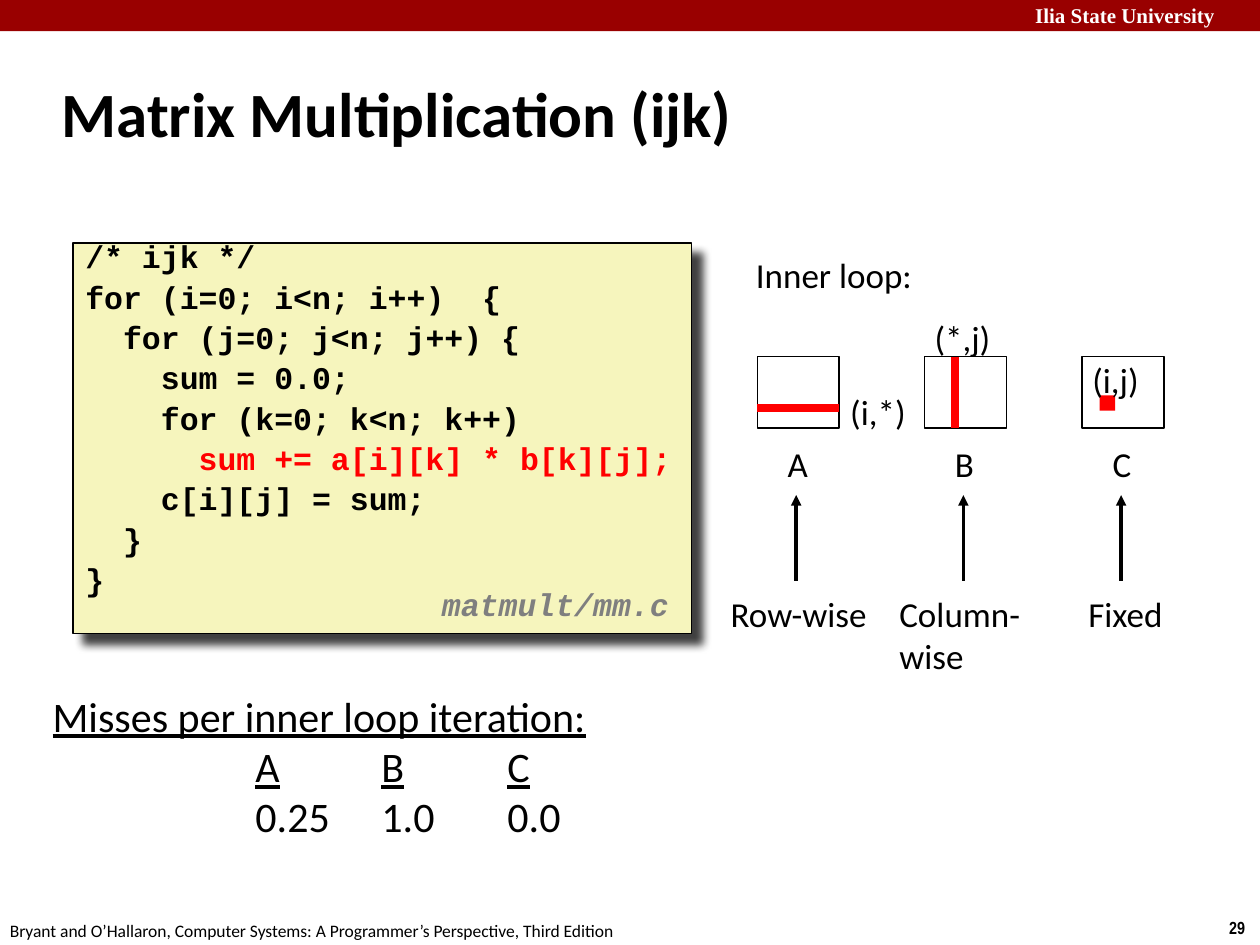
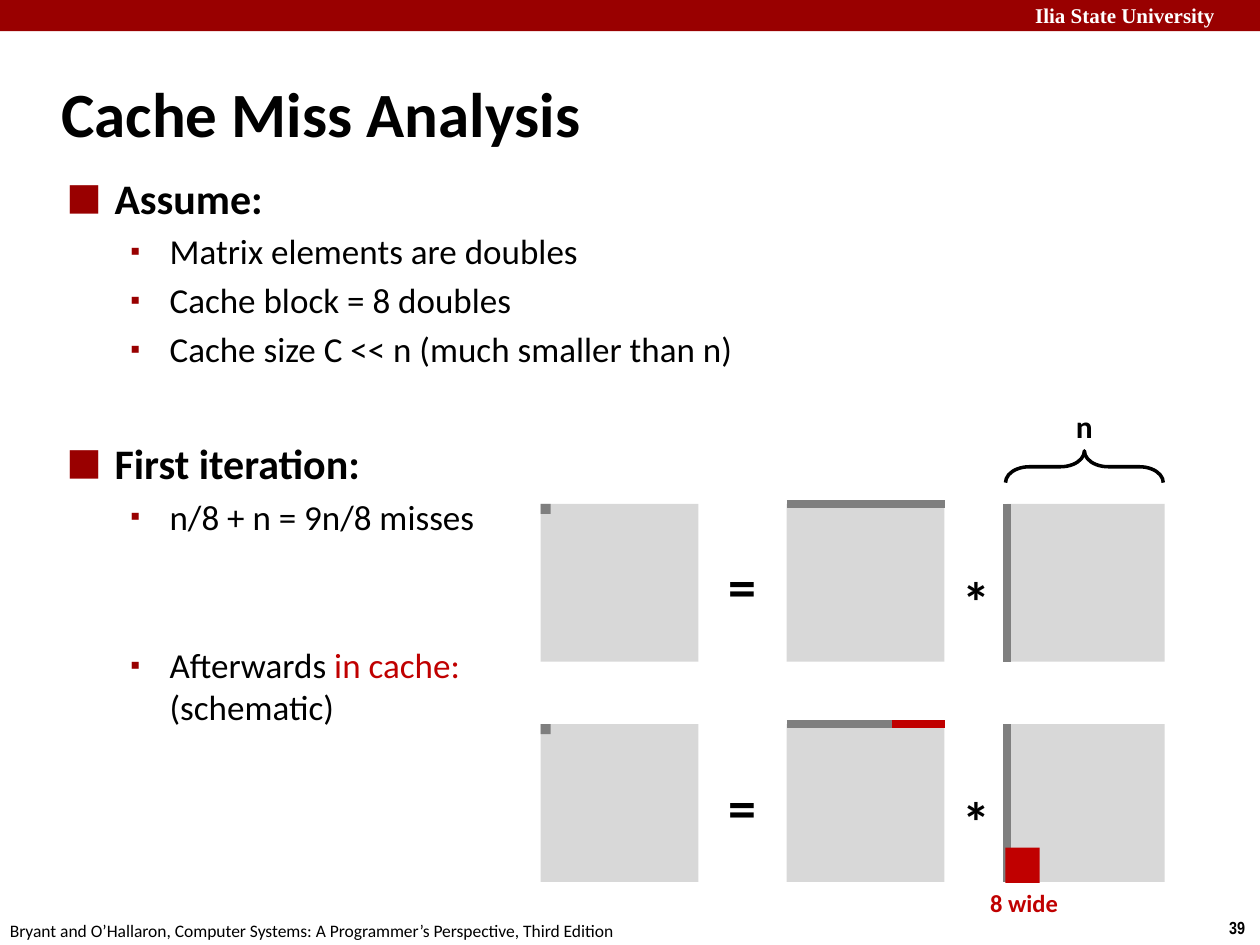
from lxml import etree
from pptx import Presentation
from pptx.dml.color import RGBColor
from pptx.enum.shapes import MSO_CONNECTOR, MSO_SHAPE
from pptx.enum.text import MSO_ANCHOR, PP_ALIGN
from pptx.oxml.ns import qn
from pptx.util import Cm, Pt

RECT, BRACE = MSO_SHAPE.RECTANGLE, MSO_SHAPE.LEFT_BRACE
STRAIGHT = MSO_CONNECTOR.STRAIGHT
TOP, MIDDLE = MSO_ANCHOR.TOP, MSO_ANCHOR.MIDDLE
LEFT = PP_ALIGN.LEFT

# Colours
BLACK, WHITE, BAND, RED = "000000", "FFFFFF", "990000", "FF0000"
CACHED, GREY, PALE, CODE_FILL = "C00000", "7F7F7F", "D8D8D8", "F6F5BD"

# Font styles
BASE = {"name": "Calibri", "size": 20, "color": BLACK}
TITLE = BASE | {"size": 36, "bold": True}
HEADING = BASE | {"size": 24, "bold": True}
MISSES = BASE | {"size": 24}
UNDERLINED = {"underline": True}
CODE = {"name": "Courier New", "size": 18, "color": BLACK, "bold": True}
FILE_NAME = CODE | {"color": GREY, "italic": True}
OPERATOR = BASE | {"size": 32, "bold": True}
SIZE_N = BASE | {"size": 18, "bold": True}
SIZE_WIDE = BASE | {"size": 14, "bold": True, "color": CACHED}
UNIVERSITY = {"name": "Times New Roman", "size": 12, "color": WHITE, "bold": True}
CITATION = BASE | {"size": 10}
NUMBER = {"name": "Arial Narrow", "size": 10, "color": BLACK, "bold": True}

# Content: a paragraph is a list of (text, style changes) runs
CODE_LINES = [
    [("/* ijk */", {})],
    [("for (i=0; i<n; i++)  {", {})],
    [("  for (j=0; j<n; j++) {", {})],
    [("    sum = 0.0;", {})],
    [("    for (k=0; k<n; k++)", {})],
    [("      ", {}), ("sum += a[i][k] * b[k][j];", {"color": RED})],
    [("    c[i][j] = sum;", {})],
    [("  }", {})],
    [("}", {})],
]
# name, left of matrix, access pattern, left and width of pattern
MATRICES = [
    ("A", 15.27, ["Row-wise"], 14.48, 3.4),
    ("B", 18.64, ["Column-", "wise"], 17.88, 3.1),
    ("C", 21.82, ["Fixed"], 21.69, 2.2),
]
INDEX_LABELS = [
    ("Inner loop:", 14.99, 4.98, 3.8),
    ("(i,*)", 16.89, 7.75, 1.8),
    ("(*,j)", 18.59, 6.26, 1.8),
    ("(i,j)", 21.77, 7.11, 1.8),
]
MISS_RATES = [("A", "0.25"), ("B", "1.0"), ("C", "0.0")]
# level, space before, runs
OUTLINE = [
    (0, 0, [("Assume:", {})]),
    (1, 4, [("Matrix elements are doubles", {})]),
    (1, 4, [("Cache block = 8 doubles", {})]),
    (1, 4, [("Cache size C << n (much smaller than n)", {})]),
    (0, 38.9, [("First iteration:", {})]),
    (1, 4, [("n/8 + n = 9n/8 misses", {})]),
    (1, 60.8, [("Afterwards ", {}), ("in cache:\n", {"color": CACHED}),
               ("(schematic)", {})]),
]
# style, bullet, bullet size in percent, left margin, hanging indent
LEVELS = [(HEADING, "■", 140, 0.97, 0.97), (BASE, "▪", 80, 2.08, 0.79)]


def rgb(color):
    return RGBColor.from_string(color)


def style_font(font, style):
    for key, value in style.items():
        if key == "color":
            font.color.rgb = rgb(value)
        else:
            setattr(font, key, Pt(value) if key == "size" else value)


def fill_paragraph(paragraph, runs, style, **spacing):
    for key, value in spacing.items():
        setattr(paragraph, key, value)
    for text, changes in runs:
        run = paragraph.add_run()
        run.text = text.rstrip("\n")
        style_font(run.font, style | changes)
        if text.endswith("\n"):
            paragraph.add_line_break()


def add_bullet(paragraph, bullet, percent, left, hanging):
    properties = paragraph._p.get_or_add_pPr()
    properties.set("marL", str(Cm(left)))
    properties.set("indent", str(-Cm(hanging)))
    color = etree.SubElement(properties, qn("a:buClr"))
    etree.SubElement(color, qn("a:srgbClr"), val=BAND)
    etree.SubElement(properties, qn("a:buSzPct"), val=str(percent * 1000))
    etree.SubElement(properties, qn("a:buFont"), typeface="Times New Roman")
    etree.SubElement(properties, qn("a:buChar"), char=bullet)


def paragraphs_for(frame, items):
    """Pair each item with its own paragraph of the frame."""
    for i, item in enumerate(items):
        yield (frame.add_paragraph() if i else frame.paragraphs[0]), item


def text_frame(slide, left, top, width, height):
    frame = slide.shapes.add_textbox(Cm(left), Cm(top), Cm(width), Cm(height)).text_frame
    frame.word_wrap = True
    return frame


def label(slide, lines, left, top, width, height, style=BASE, first=None):
    """Write lines in a text box; first holds style changes of the first line."""
    frame = text_frame(slide, left, top, width, height)
    for i, (paragraph, text) in enumerate(paragraphs_for(frame, lines)):
        changes = first if first and i == 0 else {}
        fill_paragraph(paragraph, [(text, changes)], style)
    return frame


def shape(slide, kind, left, top, width, height, fill=None, line=None, weight=1):
    part = slide.shapes.add_shape(kind, Cm(left), Cm(top), Cm(width), Cm(height))
    part.shadow.inherit = False
    if fill:
        part.fill.solid()
        part.fill.fore_color.rgb = rgb(fill)
    else:
        part.fill.background()
    if line:
        part.line.color.rgb = rgb(line)
        part.line.width = Pt(weight)
    else:
        part.line.fill.background()
    return part


def line(slide, x1, y1, x2, y2, color, weight, arrow=False):
    part = slide.shapes.add_connector(STRAIGHT, Cm(x1), Cm(y1), Cm(x2), Cm(y2))
    part.line.color.rgb = rgb(color)
    part.line.width = Pt(weight)
    if arrow:
        etree.SubElement(part.line._get_or_add_ln(), qn("a:tailEnd"), type="triangle")
    etree.SubElement(part._element.spPr, qn("a:effectLst"))


def cast_shadow(part):
    effects = part._element.spPr.find(qn("a:effectLst"))
    shadow = etree.SubElement(effects, qn("a:outerShdw"), blurRad=str(Pt(5)),
                              dist=str(Pt(8.5)), dir="2700000", algn="tl", rotWithShape="0")
    color = etree.SubElement(shadow, qn("a:srgbClr"), val=BLACK)
    etree.SubElement(color, qn("a:alpha"), val="75000")


def new_slide(deck, title, number):
    """Add a slide with the shared band, footer and title."""
    slide = deck.slides.add_slide(deck.slide_layouts[6])
    shape(slide, RECT, 0, 0, 25.4, 0.63, BAND)
    label(slide, ["Ilia State University"], 20.62, -0.08, 4.78, 1.0, UNIVERSITY)
    label(slide, [number], 24.53, 18.36, 0.87, 0.69, NUMBER)
    label(slide, ["Bryant and O’Hallaron, Computer Systems: "
                  "A Programmer’s Perspective, Third Edition"],
          -0.05, 18.42, 13.2, 0.63, CITATION)
    label(slide, [title], 0.99, 1.2, 21.08, 2.11, TITLE).vertical_anchor = MIDDLE
    return slide


def build_multiplication(deck):
    slide = new_slide(deck, "Matrix Multiplication (ijk)", "29")

    # Code listing
    listing = shape(slide, RECT, 1.47, 4.9, 12.47, 7.87, CODE_FILL, BLACK)
    cast_shadow(listing)
    listing.text_frame.vertical_anchor = TOP
    listing.text_frame.word_wrap = True
    for i, (paragraph, runs) in enumerate(paragraphs_for(listing.text_frame, CODE_LINES)):
        fill_paragraph(paragraph, runs, CODE, alignment=LEFT, line_spacing=0.65,
                       space_before=Pt(9 if i else 0))
    label(slide, ["matmult/mm.c"], 8.66, 11.67, 5.28, 0.99, FILE_NAME)

    # Matrices with their access patterns
    top, width, height = 7.19, 1.65, 1.44
    for name, left, pattern, pattern_left, pattern_width in MATRICES:
        shape(slide, RECT, left, top, width, height, WHITE, BLACK)
        label(slide, [name], left + 0.36, 8.8, 1, 1.09)
        line(slide, left + 0.78, 11.71, left + 0.78, 9.98, BLACK, 2, arrow=True)
        label(slide, pattern, pattern_left, 11.81, pattern_width, 1.09 * len(pattern))

    # Elements read and written
    row_left, column_left = MATRICES[0][1], MATRICES[1][1]
    line(slide, row_left, 8.23, row_left + width, 8.23, RED, 4.5)
    line(slide, column_left + 0.61, top, column_left + 0.61, top + height, RED, 4.5)
    shape(slide, RECT, 22.17, 7.97, 0.31, 0.31, RED)
    for text, left, label_top, label_width in INDEX_LABELS:
        label(slide, [text], left, label_top, label_width, 1.09)

    # Miss rates, one column for each matrix
    label(slide, ["Misses per inner loop iteration:"],
          0.81, 13.79, 14.1, 1.27, MISSES, UNDERLINED)
    for i, rate in enumerate(MISS_RATES):
        label(slide, rate, 4.9 + 2.54 * i, 14.8, 2.5, 2.3, MISSES, UNDERLINED)


def build_analysis(deck):
    slide = new_slide(deck, "Cache Miss Analysis", "39")

    # Outline
    frame = text_frame(slide, 1.09, 3.35, 21.95, 8.48)
    for paragraph, (level, before, runs) in paragraphs_for(frame, OUTLINE):
        style, *bullet = LEVELS[level]
        add_bullet(paragraph, *bullet)
        fill_paragraph(paragraph, runs, style, level=level, space_before=Pt(before))

    # Two rows of result = row matrix * column matrix
    side = 3.18
    result, by_row, by_column = 10.9, 15.86, 20.3
    first, second = 10.16, 14.6
    for top in (first, second):
        for left in (result, by_row, by_column):
            shape(slide, RECT, left, top, side, side, PALE)
        shape(slide, RECT, result, top, 0.2, 0.2, GREY)
        line(slide, by_row, top, by_row + side, top, GREY, 4.5)
        line(slide, by_column, top, by_column, top + side, GREY, 4.5)
        label(slide, ["="], 14.43, top + 0.84, 1.2, 1.63, OPERATOR)
        label(slide, ["*"], 19.16, top + 1.14, 1.2, 1.63, OPERATOR)

    # Matrix size
    brace = shape(slide, BRACE, 21.54, 7.82, 0.64, side, line=BLACK, weight=2)
    brace.rotation = 90
    brace.adjustments[0] = 0.75
    label(slide, ["n"], 21.44, 8.08, 1, 1.02, SIZE_N)

    # Parts left in cache
    line(slide, 17.98, second, by_row + side, second, CACHED, 4.5)
    shape(slide, RECT, 20.27, 17.09, 0.69, 0.71, CACHED)
    label(slide, ["8 wide"], 19.71, 17.78, 2.1, 0.86, SIZE_WIDE)


def main():
    deck = Presentation()
    deck.slide_width, deck.slide_height = Cm(25.4), Cm(19.05)
    build_multiplication(deck)
    build_analysis(deck)
    deck.save("out.pptx")


if __name__ == "__main__":
    main()
